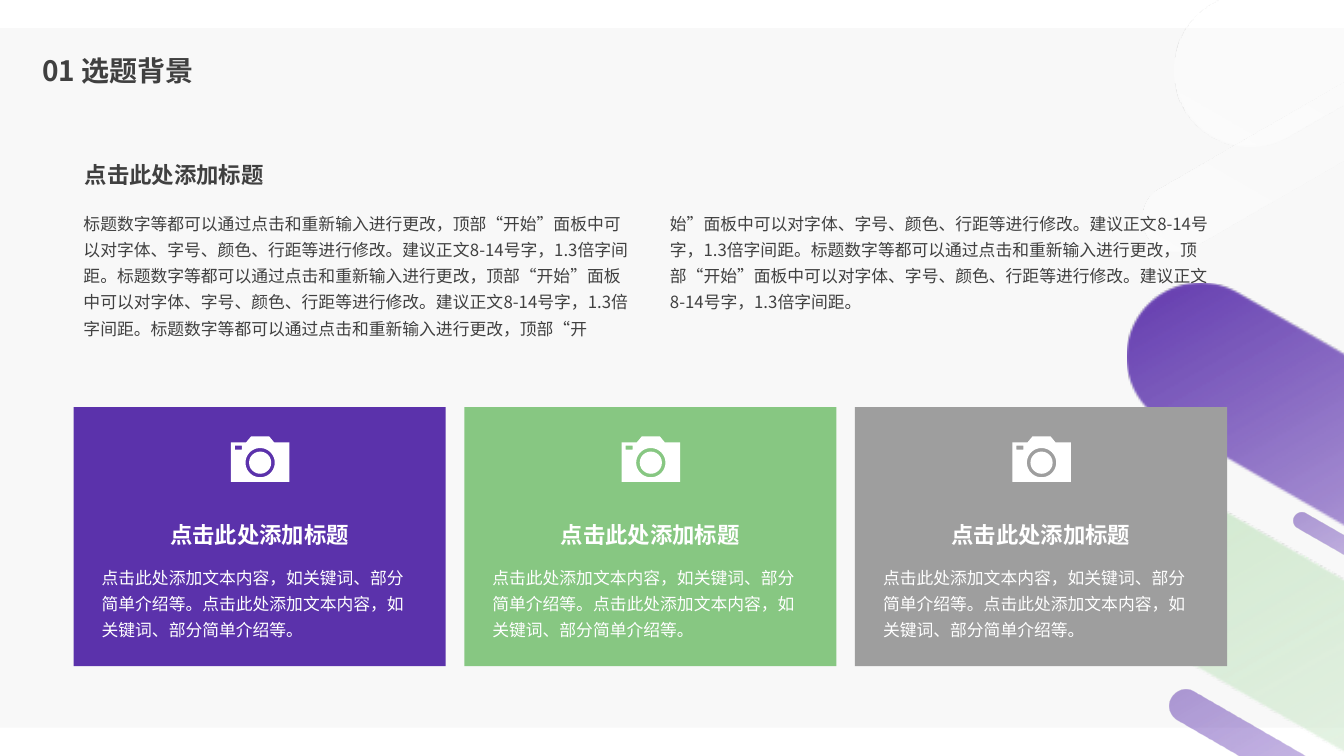
from math import cos, pi, sin

from lxml.etree import SubElement
from pptx import Presentation
from pptx.dml.color import RGBColor
from pptx.enum.shapes import MSO_SHAPE
from pptx.enum.text import MSO_ANCHOR, MSO_AUTO_SIZE, PP_ALIGN
from pptx.oxml.ns import qn
from pptx.util import Inches, Pt

FONT = "Noto Sans CJK SC"
HEADING_FONT = "League Spartan"
DARK, WHITE, PURPLE = "404040", "FFFFFF", "5B32AB"
CARD_COLORS = [PURPLE, "87C782", "9E9E9E"]
HEADING = "点击此处添加标题"
CARD_TEXT = "点击此处添加文本内容，如关键词、部分简单介绍等。" * 2
BODY_TEXT = (
    "标题数字等都可以通过点击和重新输入进行更改，顶部“开始”面板中可以对字体、"
    "字号、颜色、行距等进行修改。建议正文8-14号字，1.3倍字间距。"
) * 4

# Gradient stops: position, colour, opacity (all but colour in percent)
PURPLE_FADE = [(23, "5F34B2", 40), (85, WHITE, 50), (100, WHITE, 50)]
SOLID_PURPLE = [(0, PURPLE, 100)] + PURPLE_FADE
PALE_PURPLE = [(0, PURPLE, 50)] + PURPLE_FADE
PALE_GREEN = [(0, "D0E9CE", 100), (22, "D0E9CE", 50), (85, WHITE, 50), (100, WHITE, 50)]
WHITE_FADE = [(0, WHITE, 50), (21, WHITE, 29), (85, WHITE, 0), (100, WHITE, 0)]

# Pills: left, top, width, height before turning, angle, stops
PILLS = [
    (9.9, 7.58, 20.55, 1.47, 30, SOLID_PURPLE),
    (10.96, -2.65, 11.87, 1.51, 330, WHITE_FADE),
    (11.02, 0.68, 5.27, 0.67, 330, WHITE_FADE),
    (9.68, 9.7, 20.55, 1.47, 30, PALE_GREEN),
    (12.68, 5.65, 2.44, 0.17, 30, PALE_PURPLE),
    (11.31, 7.93, 4.69, 0.33, 30, PALE_PURPLE),
]


def color(value):
    return RGBColor.from_string(value)


def paint(shape, fill):
    shape.shadow.inherit = False
    shape.line.fill.background()
    shape.fill.solid()
    shape.fill.fore_color.rgb = color(fill)


def add_plain_shape(shapes, kind, left, top, width, height, fill):
    shape = shapes.add_shape(kind, Inches(left), Inches(top), Inches(width), Inches(height))
    paint(shape, fill)
    return shape


def format_paragraph(paragraph, size, fill, font=FONT, bold=False, spacing=1.3):
    paragraph.line_spacing = spacing
    for run in paragraph.runs:
        run.font.size = Pt(size)
        run.font.bold = bold
        run.font.name = font
        run.font.color.rgb = color(fill)
        SubElement(run.font._element, qn("a:ea"), typeface=FONT)


def add_text(shapes, left, top, width, height, text, fill):
    box = shapes.add_textbox(Inches(left), Inches(top), Inches(width), Inches(height))
    frame = box.text_frame
    frame.word_wrap = True
    frame.auto_size = MSO_AUTO_SIZE.SHAPE_TO_FIT_TEXT
    frame.text = text
    format_paragraph(frame.paragraphs[0], 12, fill)
    return frame


def add_heading(shapes, left, top, fill):
    frame = add_text(shapes, left, top, 2, 0.45, HEADING, fill)
    frame.word_wrap = False
    paragraph = frame.paragraphs[0]
    paragraph.alignment = PP_ALIGN.CENTER
    format_paragraph(paragraph, 16, fill, HEADING_FONT, bold=True)


def set_gradient(shape, stops, angle):
    shape.fill.gradient()
    gradient = shape._element.spPr.find(qn("a:gradFill"))
    for child in list(gradient):
        gradient.remove(child)
    gradient.set("rotWithShape", "1")
    stop_list = SubElement(gradient, qn("a:gsLst"))
    for position, fill, opacity in stops:
        stop = SubElement(stop_list, qn("a:gs"), pos=str(position * 1000))
        stop_color = SubElement(stop, qn("a:srgbClr"), val=fill)
        SubElement(stop_color, qn("a:alpha"), val=str(opacity * 1000))
    SubElement(gradient, qn("a:lin"), ang=str(angle * 60000), scaled="0")


def add_background(shapes, left, top, width, height):
    add_plain_shape(shapes, MSO_SHAPE.RECTANGLE, left, top, width, height, "F8F8F8")
    for *box, angle, stops in PILLS:
        pill = add_plain_shape(shapes, MSO_SHAPE.ROUNDED_RECTANGLE, *box, WHITE)
        pill.adjustments[0] = 0.5
        pill.rotation = angle
        set_gradient(pill, stops, angle)


def place_title(slide, left, top, width, height):
    title = slide.shapes.title
    title.left, title.top = Inches(left), Inches(top)
    title.width, title.height = Inches(width), Inches(height)
    frame = title.text_frame
    frame.text = "01 选题背景"
    frame.auto_size = MSO_AUTO_SIZE.NONE
    frame.vertical_anchor = MSO_ANCHOR.MIDDLE
    paragraph = frame.paragraphs[0]
    paragraph.alignment = PP_ALIGN.LEFT
    paragraph.space_before = Pt(10)
    format_paragraph(paragraph, 20, DARK, bold=True, spacing=0.9)
    # Bring the title in front of the background
    slide.shapes._spTree.append(title._element)


def add_camera(shapes, left, top):
    def points(pairs):
        return [(Inches(left + x), Inches(top + y)) for x, y in pairs]

    steps = 48
    body = points([(0, 0.06), (0.15, 0.06), (0.2, 0), (0.38, 0), (0.43, 0.06),
                   (0.58, 0.06), (0.58, 0.45), (0, 0.45)])
    flash = points([(0.04, 0.09), (0.04, 0.13), (0.11, 0.13), (0.11, 0.09)])
    lens_hole = points([(0.29 + 0.145 * cos(2 * pi * step / steps),
                         0.26 - 0.145 * sin(2 * pi * step / steps)) for step in range(steps)])
    builder = shapes.build_freeform(*body[0])
    builder.add_line_segments(body[1:], close=True)
    for hole in (flash, lens_hole):
        builder.move_to(*hole[0])
        builder.add_line_segments(hole[1:], close=True)
    paint(builder.convert_to_shape(), WHITE)
    add_plain_shape(shapes, MSO_SHAPE.OVAL, left + 0.18, top + 0.15, 0.22, 0.22, WHITE)


def add_card(slide, left, top, width, height, fill):
    shapes = slide.shapes.add_group_shape().shapes
    add_plain_shape(shapes, MSO_SHAPE.RECTANGLE, left, top, width, height, fill)
    add_camera(shapes, left + 1.56, top + 0.29)
    add_text(shapes, left + 0.18, top + 1.48, width - 0.35, 0.89, CARD_TEXT, WHITE)
    add_heading(shapes, left + (width - 2) / 2, top + 1, WHITE)


def add_cards(slide, left, top, width, height):
    card_width = 3.69
    pitch = (width - card_width) / (len(CARD_COLORS) - 1)
    for index, fill in enumerate(CARD_COLORS):
        add_card(slide, left + index * pitch, top, card_width, height, fill)


def add_introduction(shapes, left, top, width, height):
    frame = add_text(shapes, left, top + 0.54, width, height - 0.54, BODY_TEXT, DARK)
    columns = frame._txBody.bodyPr
    columns.set("numCol", "2")
    columns.set("spcCol", str(Inches(0.39)))
    add_heading(shapes, left, top, DARK)


presentation = Presentation()
presentation.slide_width = Inches(13.33)
presentation.slide_height = Inches(7.5)
slide = presentation.slides.add_slide(presentation.slide_layouts[5])
add_background(slide.shapes, 0, 0.28, 13.33, 6.94)
place_title(slide, 0.32, 0.43, 4.99, 0.58)
add_cards(slide, 0.73, 4.04, 11.44, 2.57)
add_introduction(slide.shapes, 0.73, 1.47, 11.44, 1.95)
presentation.save("out.pptx")
